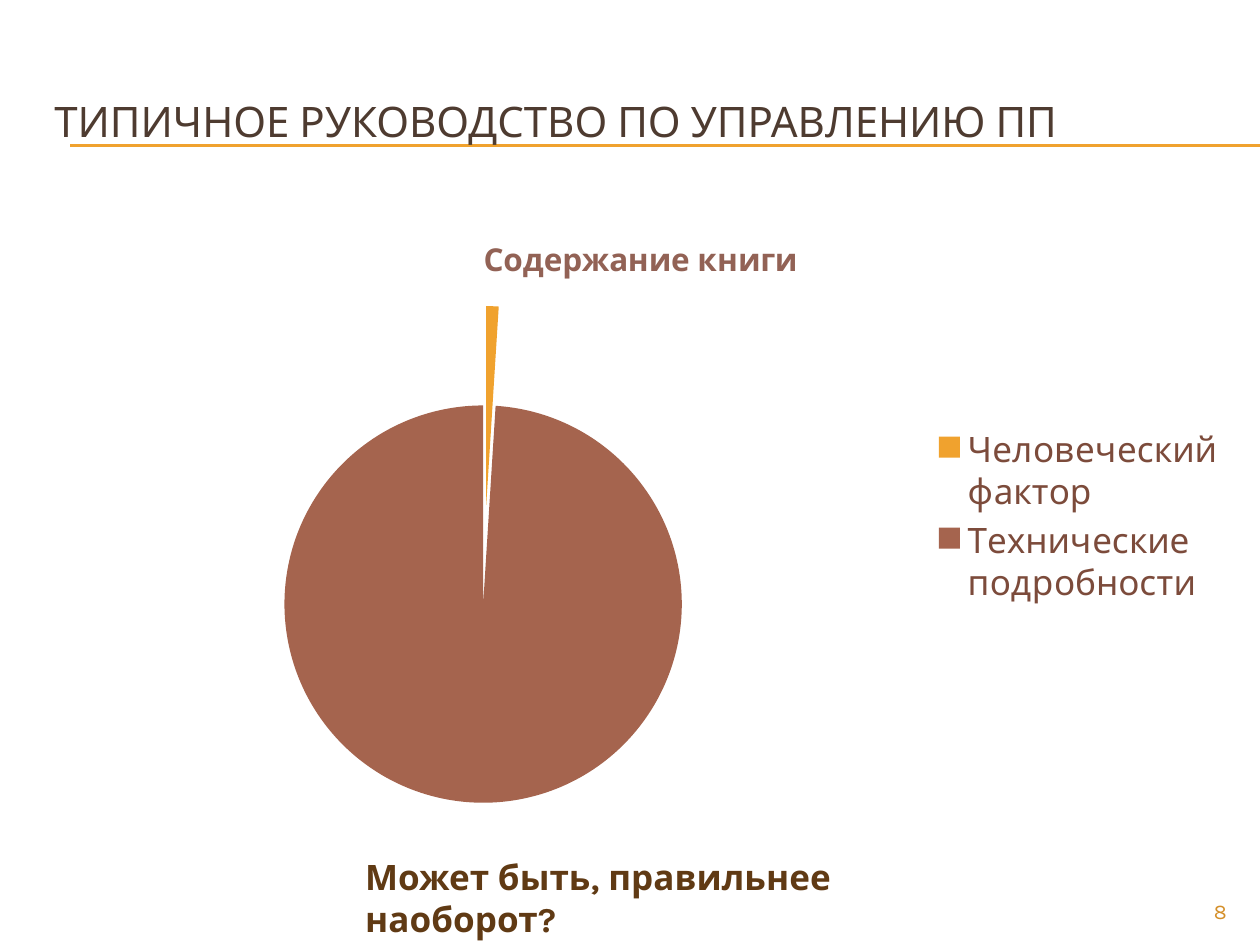
from lxml import etree
from pptx import Presentation
from pptx.chart.data import CategoryChartData
from pptx.dml.color import RGBColor
from pptx.enum.chart import XL_CHART_TYPE as Kind, XL_LEGEND_POSITION as Side
from pptx.enum.shapes import MSO_CONNECTOR as Wire
from pptx.enum.text import MSO_ANCHOR as Anchor, PP_ALIGN as Align
from pptx.oxml.ns import qn
from pptx.util import Pt

FONT = "Karla"
GOLD = RGBColor(0xF0, 0xA2, 0x2E)
RUST = RGBColor(0xA5, 0x64, 0x4E)
DARK = RGBColor(0x4E, 0x3B, 0x30)
AMBER = RGBColor(0xD4, 0x8F, 0x29)
BROWN = RGBColor(0x60, 0x3A, 0x14)
HEAD = RGBColor(0x92, 0x62, 0x55)
KEY = RGBColor(0x7C, 0x4B, 0x3B)

# Content: text, box, size, colour, bold, alignment, anchor
TEXTS = [
    ("ТИПИЧНОЕ РУКОВОДСТВО ПО УПРАВЛЕНИЮ ПП", (24, 36, 684, 66),
     24, DARK, False, Align.LEFT, Anchor.MIDDLE),
    ("8", (648, 510, 60, 19.5), 12, AMBER, False, Align.RIGHT, Anchor.TOP),
    ("Может быть, правильнее наоборот?", (201.6, 485.3, 327.6, 31.7),
     20, BROWN, True, Align.LEFT, Anchor.TOP),
]
TOPIC = "Содержание книги"
PARTS = [("Человеческий фактор", 1, GOLD), ("Технические подробности", 99, RUST)]
CHART = (24, 122.4, 684, 346.3)
RULES = (82.8, 83.5)
LEFT, RIGHT = 40.3, 720


def style(font, size, color, bold=False):
    font.name, font.size, font.bold = FONT, Pt(size), bold
    font.color.rgb = color


def add_text(slide, text, box, size, color, bold, align, anchor):
    frame = slide.shapes.add_textbox(*map(Pt, box)).text_frame
    frame.word_wrap = True
    frame.vertical_anchor = anchor
    frame.text = text
    para = frame.paragraphs[0]
    para.alignment = align
    style(para.runs[0].font, size, color, bold)


def add_rule(slide, y):
    rule = slide.shapes.add_connector(Wire.STRAIGHT, Pt(LEFT), Pt(y), Pt(RIGHT), Pt(y))
    rule.line.color.rgb = GOLD
    rule.line.width = Pt(0.75)
    etree.SubElement(rule._element.spPr, qn("a:effectLst"))


def add_pie(slide):
    names, vals, fills = zip(*PARTS)
    data = CategoryChartData()
    data.categories = names
    data.add_series(TOPIC, vals)
    chart = slide.shapes.add_chart(Kind.PIE, *map(Pt, CHART), data).chart
    chart.font.name, chart.font.size = FONT, Pt(10)

    chart.has_title = True
    title = chart.chart_title.text_frame
    title.text = TOPIC
    style(title.paragraphs[0].runs[0].font, 18, HEAD, True)

    chart.has_legend = True
    chart.legend.position = Side.RIGHT
    chart.legend.include_in_layout = False
    style(chart.legend.font, 20, KEY)

    plot = chart.plots[0]
    plot.vary_by_categories = True
    pie = plot.series[0]
    for i, color in enumerate(fills):
        fill = pie.points[i].format.fill
        fill.solid()
        fill.fore_color.rgb = color

    # Pull the slices apart
    burst = etree.Element(qn("c:explosion"), val="25")
    pie._element.find(qn("c:dPt")).addprevious(burst)


deck = Presentation()
deck.slide_width, deck.slide_height = Pt(720), Pt(540)
page = deck.slides.add_slide(deck.slide_layouts[6])

for y in RULES:
    add_rule(page, y)
add_pie(page)
for item in TEXTS:
    add_text(page, *item)

deck.save("out.pptx")
